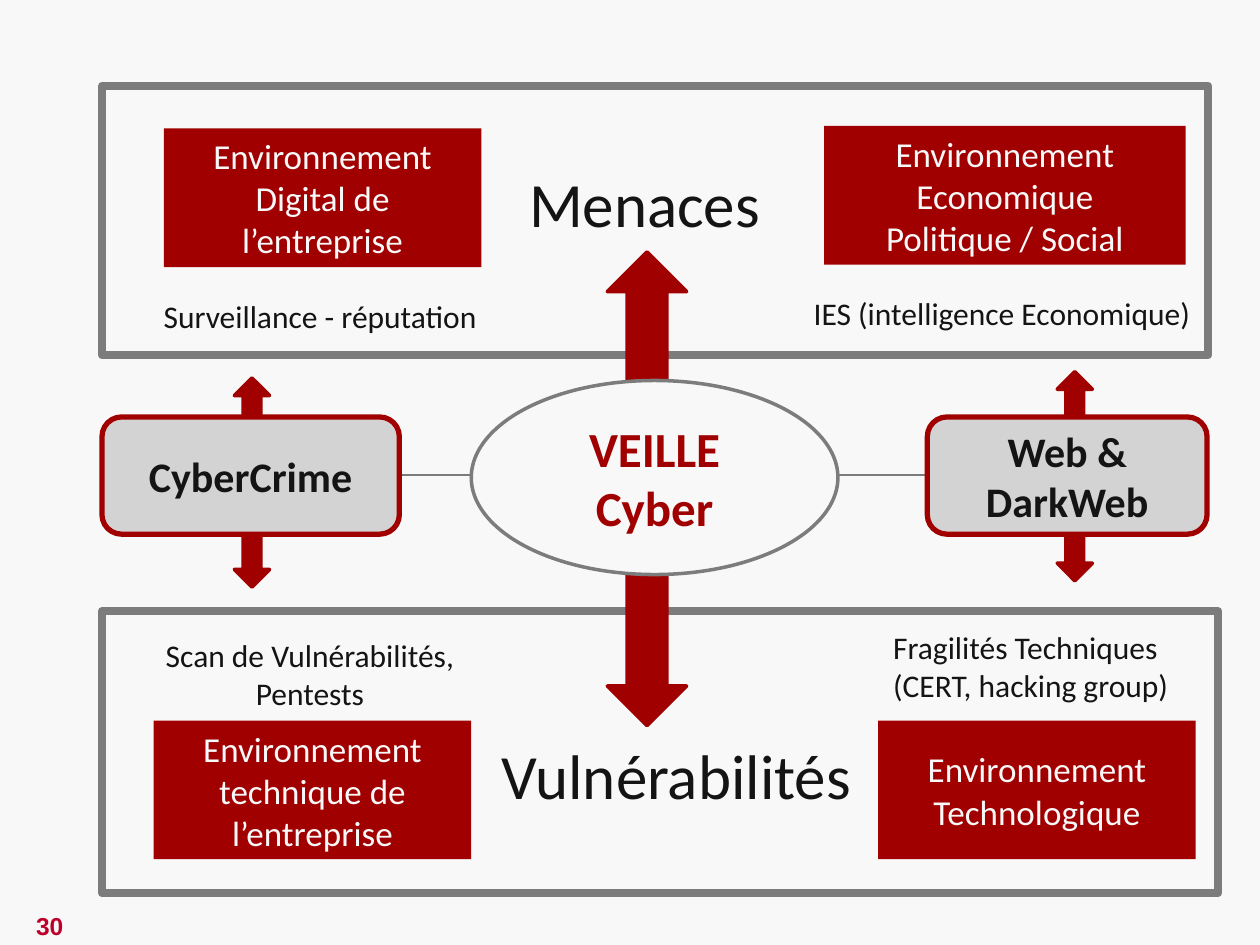
from lxml import etree
from pptx import Presentation
from pptx.dml.color import RGBColor
from pptx.enum.shapes import MSO_CONNECTOR, MSO_SHAPE
from pptx.enum.text import MSO_ANCHOR, PP_ALIGN
from pptx.oxml.ns import qn
from pptx.util import Inches, Pt

COLORS = {
    "paper": "F8F8F8",
    "red": "A00000",
    "grey": "7C7C7C",
    "silver": "D3D3D3",
    "ink": "141414",
    "page": "BC002B",
}

deck = Presentation()
deck.slide_width, deck.slide_height = Inches(10), Inches(7.5)
COL, ROW = deck.slide_width / 100, deck.slide_height / 75
slide = deck.slides.add_slide(deck.slide_layouts[6])
slide.background.fill.solid()
slide.background.fill.fore_color.rgb = RGBColor.from_string(COLORS["paper"])


def write(frame, text, size, color, bold=False, align=PP_ALIGN.CENTER, font="Calibri"):
    frame.text = text
    frame.vertical_anchor = MSO_ANCHOR.MIDDLE
    for paragraph in frame.paragraphs:
        paragraph.alignment = align
        for run in paragraph.runs:
            run.font.name, run.font.size, run.font.bold = font, Pt(size), bold
            run.font.color.rgb = RGBColor.from_string(COLORS[color])


def draw(kind, area, fill=None, line=None, width=0):
    left, top, wide, high = area
    shape = slide.shapes.add_shape(
        kind, int(left * COL), int(top * ROW), int(wide * COL), int(high * ROW))
    shape.shadow.inherit = False
    for part, color in ((shape.fill, fill), (shape.line.fill, line)):
        if color:
            part.solid()
            part.fore_color.rgb = RGBColor.from_string(COLORS[color])
        else:
            part.background()
    if line:
        shape.line.width = Pt(width)
    return shape


axis_row = int(37.7 * ROW)
axis = slide.shapes.add_connector(
    MSO_CONNECTOR.STRAIGHT, int(31.7 * COL), axis_row, int(73.6 * COL), axis_row)
axis.line.color.rgb = RGBColor.from_string(COLORS["grey"])
axis.line.width = Pt(0.75)
etree.SubElement(axis._element.spPr, qn("a:effectLst"))

for area in ((8.1, 6.8, 87.8, 21.4), (8.1, 48.5, 88.6, 22.4)):
    draw(MSO_SHAPE.RECTANGLE, area, line="grey", width=4.5)

for left, top, wide, topic in (
    (13, 10.2, 25.2, "Environnement Digital de l’entreprise"),
    (65.4, 10, 28.7, "Environnement\nEconomique\nPolitique / Social"),
    (12.2, 57.2, 25.2, "Environnement\ntechnique de l’entreprise"),
    (69.7, 57.2, 25.2, "Environnement\nTechnologique"),
):
    domain = draw(MSO_SHAPE.RECTANGLE, (left, top, wide, 11), "red")
    write(domain.text_frame, topic, 20, "paper")

for area in ((18.6, 30, 2.8, 16.6), (83.9, 29.5, 2.8, 16.6), (48.2, 20, 6.3, 37.6)):
    draw(MSO_SHAPE.UP_DOWN_ARROW, area, "red", "red", 2)

for left, wide, topic in ((8.1, 23.6, "CyberCrime"), (73.6, 22.2, "Web & DarkWeb")):
    source = draw(MSO_SHAPE.ROUNDED_RECTANGLE, (left, 33.1, wide, 9.3), "silver", "red", 3)
    write(source.text_frame, topic, 24, "ink", bold=True)

watch = draw(MSO_SHAPE.OVAL, (37.4, 30.2, 29.1, 15.4), "paper", "grey", 2)
write(watch.text_frame, "VEILLE\nCyber", 28, "red", bold=True)

captions = (
    (63.6, 22.8, 32.3, 4, "IES (intelligence Economique)", 18, "ink", False, PP_ALIGN.LEFT, "Calibri"),
    (69.9, 49.3, 24.7, 7.1, "Fragilités Techniques\v(CERT, hacking group)", 18, "ink", False, PP_ALIGN.LEFT, "Calibri"),
    (12, 49.9, 25.2, 7.1, "Scan de Vulnérabilités,\nPentests", 18, "ink", False, PP_ALIGN.CENTER, "Calibri"),
    (12, 23.1, 27.2, 4, "Surveillance - réputation", 18, "ink", False, PP_ALIGN.LEFT, "Calibri"),
    (41, 12.5, 20.5, 7.1, "Menaces", 36, "ink", False, PP_ALIGN.LEFT, "Calibri"),
    (38.8, 57.9, 30, 7.1, "Vulnérabilités", 36, "ink", False, PP_ALIGN.LEFT, "Calibri"),
    (-0.2, 71.8, 8.3, 3.4, "30", 14, "page", True, PP_ALIGN.CENTER, "Arial"),
)
for left, top, wide, high, *wording in captions:
    caption = slide.shapes.add_textbox(
        int(left * COL), int(top * ROW), int(wide * COL), int(high * ROW))
    caption.text_frame.word_wrap = False
    write(caption.text_frame, *wording)

deck.save("out.pptx")
